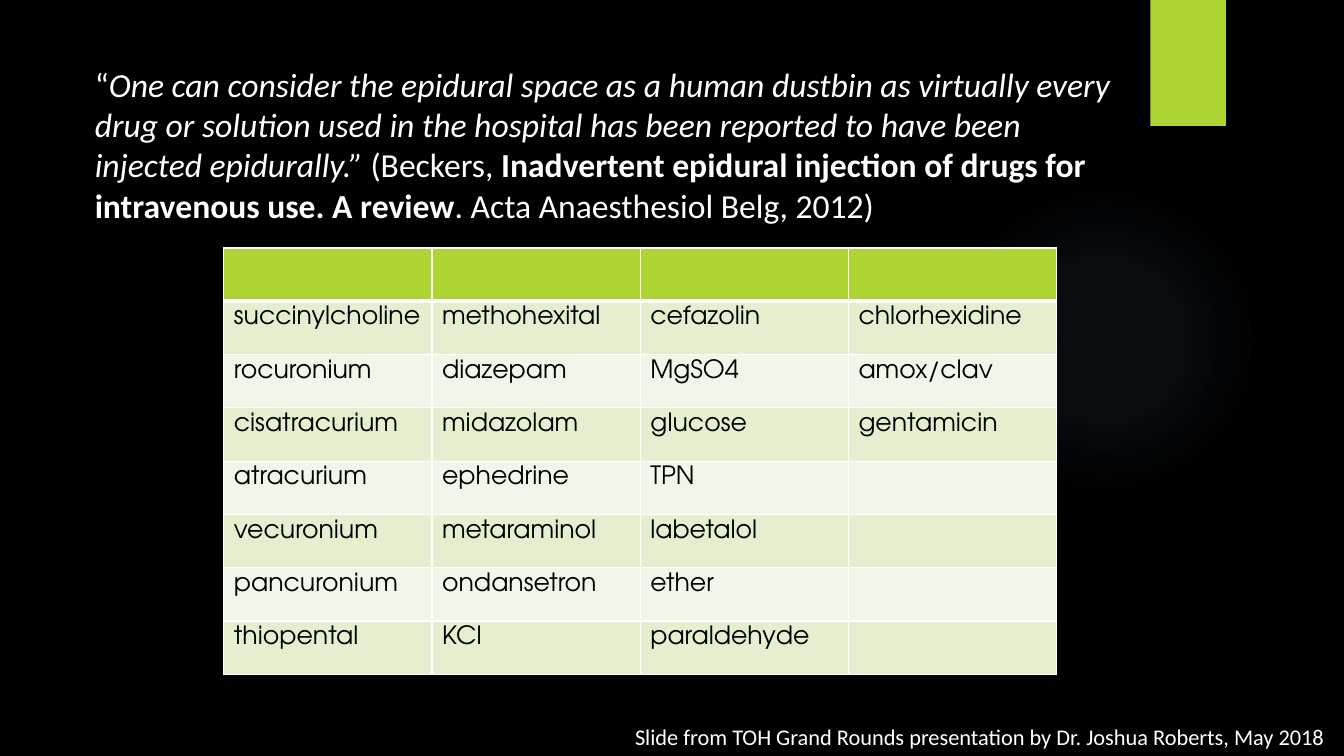
from dataclasses import dataclass

from lxml.etree import SubElement
from pptx import Presentation
from pptx.dml.color import RGBColor
from pptx.enum.shapes import MSO_SHAPE
from pptx.enum.text import MSO_ANCHOR, MSO_AUTO_SIZE, PP_ALIGN
from pptx.oxml.ns import qn
from pptx.slide import Slide
from pptx.table import _Cell
from pptx.text.text import TextFrame
from pptx.util import Inches, Pt


@dataclass(frozen=True)
class Theme:
    background: str = "000000"
    light: str = "FFFFFF"
    dark: str = "000000"
    accent: str = "ACD433"
    glow: str = "7AC4F0"
    bands: tuple[str, str] = ("E3EFCE", "F1F7E8")
    text_font: str = "Calibri"
    table_font: str = "TeX Gyre Adventor"
    quote_size: int = 24
    drug_size: int = 18
    credit_size: int = 16
    rule: float = 1
    header_rule: float = 3


@dataclass(frozen=True)
class Span:
    text: str
    bold: bool = False
    italic: bool = False


@dataclass(frozen=True)
class Box:
    left: float
    top: float
    width: float
    height: float

    def emu(self) -> tuple[int, int, int, int]:
        return (Inches(self.left), Inches(self.top),
                Inches(self.width), Inches(self.height))


THEME = Theme()

GLOW_BOX = Box(9.41, 1.83, 3.08, 3.08)
TAB_BOX = Box(11.41, 0, 0.75, 1.25)
QUOTE_BOX = Box(0.84, 0.58, 10.31, 2.19)
DRUG_BOX = Box(2.22, 2.46, 8.26, 4.23)
CREDIT_BOX = Box(6.2, 7.13, 7.13, 0.37)

# Glow stops: position and opacity, both in percent
GLOW_STOPS = ((0, 7), (36, 6), (69, 0))

QUOTE = (
    Span("“"),
    Span("One can consider the epidural space as a human dustbin as virtually "
         "every drug or solution used in the hospital has been reported to "
         "have been injected epidurally.” ", italic=True),
    Span("(Beckers, "),
    Span("Inadvertent epidural injection of drugs for intravenous use. "
         "A review", bold=True),
    Span(". Acta Anaesthesiol Belg, 2012)"),
)
CREDIT = (Span("Slide from TOH Grand Rounds presentation by "
               "Dr. Joshua Roberts, May 2018"),)

DRUGS = (
    ("succinylcholine", "methohexital", "cefazolin", "chlorhexidine"),
    ("rocuronium", "diazepam", "MgSO4", "amox/clav"),
    ("cisatracurium", "midazolam", "glucose", "gentamicin"),
    ("atracurium", "ephedrine", "TPN", ""),
    ("vecuronium", "metaraminol", "labetalol", ""),
    ("pancuronium", "ondansetron", "ether", ""),
    ("thiopental", "KCl", "paraldehyde", ""),
)


def write(frame: TextFrame, spans: tuple[Span, ...], *, size: int,
          color: str = THEME.light, font: str = THEME.text_font,
          wrap: bool = True) -> None:
    frame.word_wrap = wrap
    frame.vertical_anchor = MSO_ANCHOR.TOP
    paragraph = frame.paragraphs[0]
    paragraph.alignment = PP_ALIGN.LEFT
    for span in spans:
        run = paragraph.add_run()
        run.text = span.text
        run.font.name = font
        run.font.size = Pt(size)
        run.font.bold = span.bold
        run.font.italic = span.italic
        run.font.color.rgb = RGBColor.from_string(color)


def add_panel(slide: Slide, kind: MSO_SHAPE, box: Box, color: str):
    panel = slide.shapes.add_shape(kind, *box.emu())
    panel.shadow.inherit = False
    panel.fill.solid()
    panel.fill.fore_color.rgb = RGBColor.from_string(color)
    panel.line.fill.background()
    return panel


def add_glow(slide: Slide) -> None:
    glow = add_panel(slide, MSO_SHAPE.OVAL, GLOW_BOX, THEME.glow)
    properties = glow.fill._xPr
    solid = properties.find(qn("a:solidFill"))
    gradient = SubElement(properties, qn("a:gradFill"))
    properties.replace(solid, gradient)
    stops = SubElement(gradient, qn("a:gsLst"))
    for position, opacity in GLOW_STOPS:
        stop = SubElement(stops, qn("a:gs"), pos=str(position * 1000))
        tint = SubElement(stop, qn("a:srgbClr"), val=THEME.glow)
        SubElement(tint, qn("a:alpha"), val=str(opacity * 1000))
    shade = SubElement(gradient, qn("a:path"), {"path": "circle"})
    SubElement(shade, qn("a:fillToRect"),
               dict.fromkeys("ltrb", "50000"))


def style_cell(cell: _Cell, color: str, top: float, bottom: float) -> None:
    properties = cell._tc.get_or_add_tcPr()
    widths = {"L": THEME.rule, "R": THEME.rule, "T": top, "B": bottom}
    for side, width in widths.items():
        border = SubElement(properties, qn(f"a:ln{side}"), w=str(Pt(width)))
        paint = SubElement(border, qn("a:solidFill"))
        SubElement(paint, qn("a:srgbClr"), val=THEME.light)
    cell.fill.solid()
    cell.fill.fore_color.rgb = RGBColor.from_string(color)


def add_drug_table(slide: Slide) -> None:
    rows, columns = len(DRUGS) + 1, len(DRUGS[0])
    table = slide.shapes.add_table(rows, columns, *DRUG_BOX.emu()).table
    for column in range(columns):
        style_cell(table.cell(0, column), THEME.accent,
                   THEME.rule, THEME.header_rule)
    for row, drugs in enumerate(DRUGS, start=1):
        band = THEME.bands[(row - 1) % 2]
        top = THEME.header_rule if row == 1 else THEME.rule
        for column, drug in enumerate(drugs):
            cell = table.cell(row, column)
            style_cell(cell, band, top, THEME.rule)
            if drug:
                write(cell.text_frame, (Span(drug),), size=THEME.drug_size,
                      color=THEME.dark, font=THEME.table_font)


def main() -> None:
    deck = Presentation()
    deck.slide_width, deck.slide_height = Inches(13.33), Inches(7.5)
    slide = deck.slides.add_slide(deck.slide_layouts[5])
    slide.background.fill.solid()
    slide.background.fill.fore_color.rgb = RGBColor.from_string(
        THEME.background)

    # Backdrop
    add_glow(slide)
    add_panel(slide, MSO_SHAPE.RECTANGLE, TAB_BOX, THEME.accent)

    # Quotation
    quote = slide.shapes.title
    quote.left, quote.top, quote.width, quote.height = QUOTE_BOX.emu()
    quote.text_frame.auto_size = MSO_AUTO_SIZE.NONE
    write(quote.text_frame, QUOTE, size=THEME.quote_size)

    # Drugs and credit
    add_drug_table(slide)
    credit = slide.shapes.add_textbox(*CREDIT_BOX.emu())
    write(credit.text_frame, CREDIT, size=THEME.credit_size, wrap=False)

    deck.save("out.pptx")


if __name__ == "__main__":
    main()
